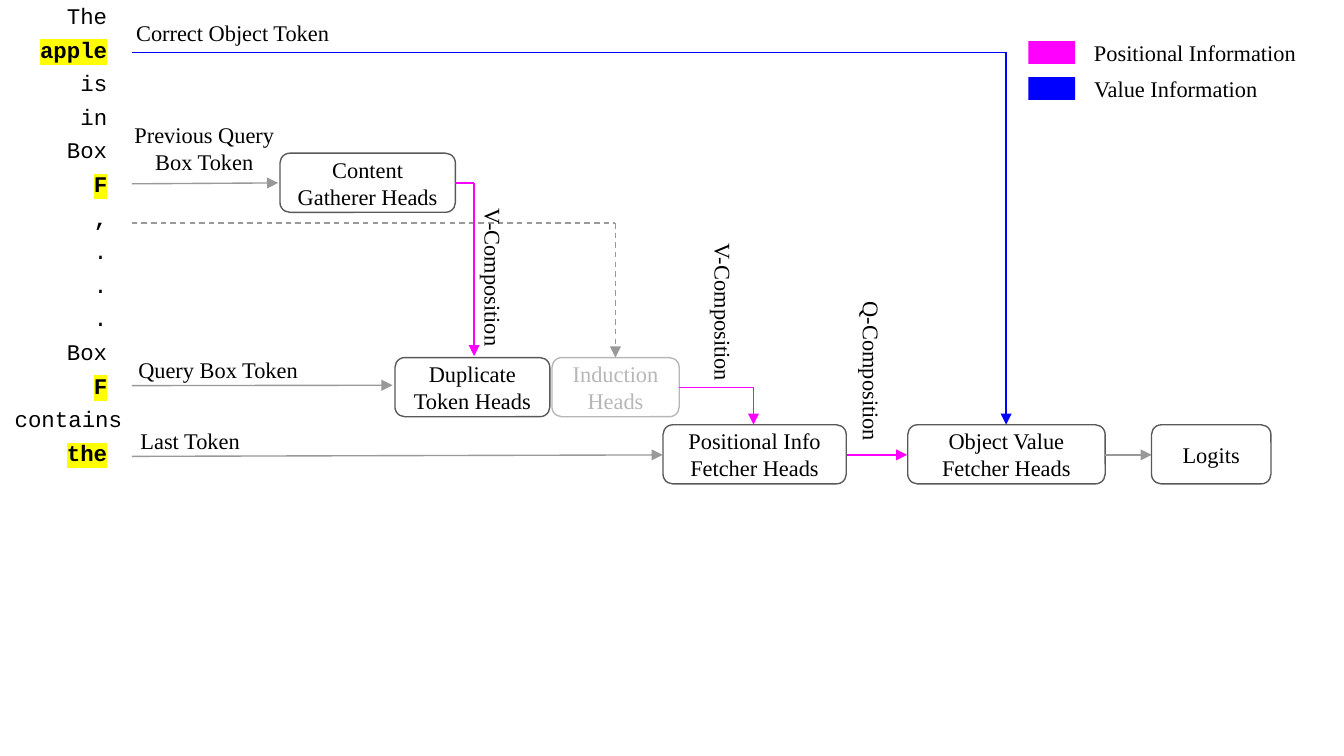
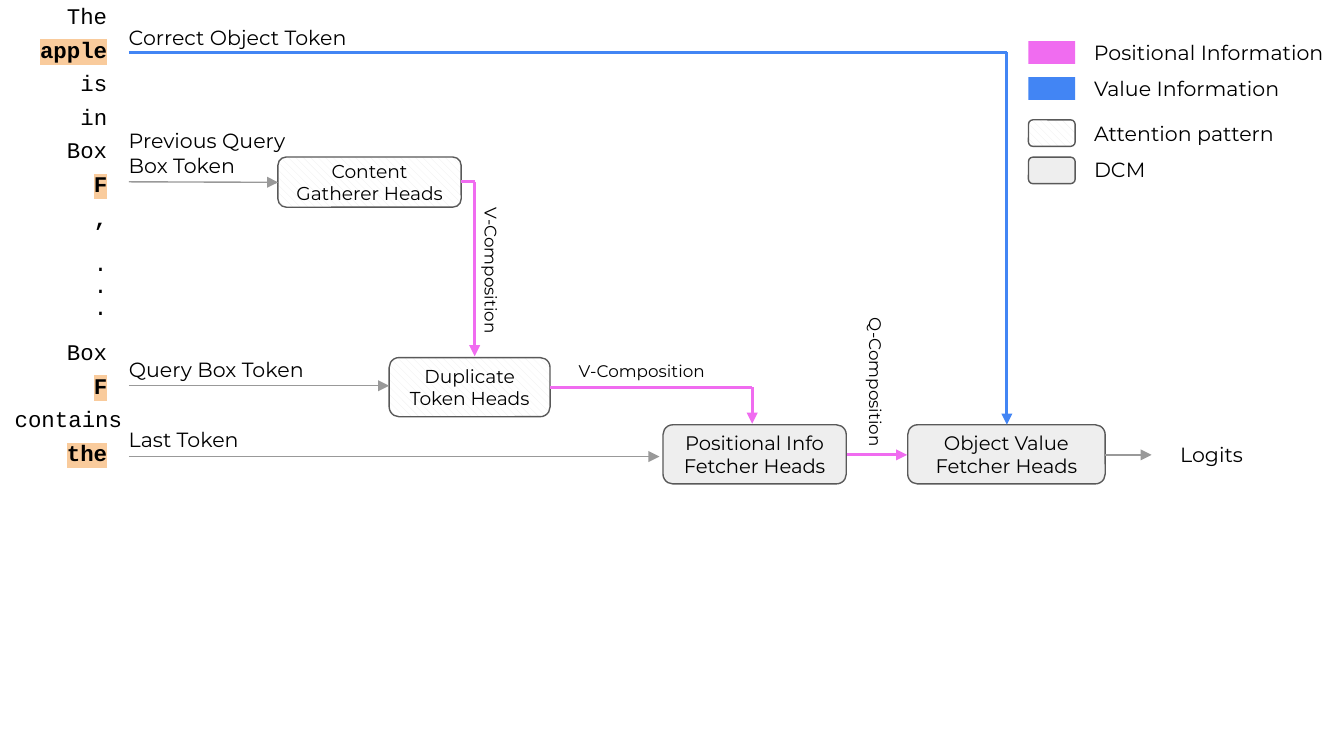
from dataclasses import dataclass
from itertools import pairwise

from lxml import etree
from pptx import Presentation
from pptx.dml.color import RGBColor
from pptx.enum.dml import MSO_LINE, MSO_PATTERN
from pptx.enum.shapes import MSO_CONNECTOR, MSO_SHAPE
from pptx.enum.text import MSO_ANCHOR, PP_ALIGN
from pptx.oxml.ns import qn
from pptx.util import Pt

LEFT, CENTER, RIGHT = PP_ALIGN.LEFT, PP_ALIGN.CENTER, PP_ALIGN.RIGHT
MIDDLE, TOP = MSO_ANCHOR.MIDDLE, MSO_ANCHOR.TOP
RECT, ROUNDED = MSO_SHAPE.RECTANGLE, MSO_SHAPE.ROUNDED_RECTANGLE
STRAIGHT, DASH = MSO_CONNECTOR.STRAIGHT, MSO_LINE.DASH
HATCH = MSO_PATTERN.WIDE_DOWNWARD_DIAGONAL

TOKENS = "The apple is in Box F , . . . Box F contains the".split()
KEY_TOKENS = {"apple", "F", "the"}
TOKEN_PITCH = 18
MIDDLE_DOT_ROW = 8
FLOW_Y = 243.7  # axis of the bottom row of boxes


@dataclass(frozen=True)
class Theme:
    font: str
    label_size: float
    fetcher_size: float
    head_size: float
    link_size: float
    positional: str
    value: str
    highlight: str
    flow_width: float
    dot_gap: float
    fetcher_fill: str | None = None
    hatch: tuple = ("EEEEEE", "FFFFFF")
    token_font: str = "Courier New"
    token_size: float = 12
    ink: str = "000000"
    outline: str = "595959"
    arrow: str = "999999"
    faded: str = "B7B7B7"
    thin: float = 0.75


SERIF = Theme("Times New Roman", 12, 12, 12, 12, "FF00FF", "0000FF", "FFFF00",
              flow_width=0.75, dot_gap=18)
SANS = Theme("Montserrat", 11, 10.5, 10, 9, "F06CF0", "4285F4", "F9CB9C",
             flow_width=1.5, dot_gap=11.9, fetcher_fill="EEEEEE")


def rgb(color):
    return RGBColor.from_string(color)


class Diagram:
    """A theme and the page it is drawn on."""

    def __init__(self, deck, theme):
        self.theme = theme
        self.page = deck.slides.add_slide(deck.slide_layouts[6])

    def set_text(self, shape, text, size, align, inset, anchor=TOP, font=None,
                 color=None, bold=False):
        frame = shape.text_frame
        frame.word_wrap = True
        frame.vertical_anchor = anchor
        frame.margin_left = frame.margin_right = Pt(inset[0])
        frame.margin_top = frame.margin_bottom = Pt(inset[1])
        frame.text = text
        for para in frame.paragraphs:
            para.alignment = align
            para.font.name = font or self.theme.font
            para.font.size = Pt(size)
            para.font.bold = bold
            para.font.color.rgb = rgb(color or self.theme.ink)

    def label(self, text, x, y, width, height=14.4, size=None, align=LEFT,
              inset=(0, 0), rotation=0):
        box = self.page.shapes.add_textbox(Pt(x), Pt(y), Pt(width), Pt(height))
        box.rotation = rotation
        self.set_text(box, text, size or self.theme.label_size, align, inset)

    def link_label(self, text, x, y, width, height, align=LEFT, rotation=90):
        self.label(text, x, y, width, height, self.theme.link_size, align,
                   rotation=rotation)

    def panel(self, kind, x, y, width, height, fill=None, line=None):
        """Preset shape; fill is a colour, a hatch pair or None."""
        shape = self.page.shapes.add_shape(kind, Pt(x), Pt(y), Pt(width), Pt(height))
        shape.shadow.inherit = False
        if isinstance(fill, tuple):
            shape.fill.patterned()
            shape.fill.pattern = HATCH
            shape.fill.fore_color.rgb, shape.fill.back_color.rgb = map(rgb, fill)
        elif fill:
            shape.fill.solid()
            shape.fill.fore_color.rgb = rgb(fill)
        else:
            shape.fill.background()
        if line:
            shape.line.color.rgb = rgb(line)
            shape.line.width = Pt(self.theme.thin)
        else:
            shape.line.fill.background()
        return shape

    def box(self, text, x, y, width, height=31.7, size=None, fill=None,
            line=None, color=None):
        shape = self.panel(ROUNDED, x, y, width, height, fill,
                           line or self.theme.outline)
        self.set_text(shape, text, size or self.theme.head_size, CENTER, (7.2, 7.2),
                      MIDDLE, color=color)

    def route(self, *points, color=None, dashed=False):
        """Straight legs through the points, with an arrowhead on the last."""
        width = self.theme.flow_width if color else self.theme.thin
        for (x1, y1), (x2, y2) in pairwise(points):
            leg = self.page.shapes.add_connector(STRAIGHT, Pt(x1), Pt(y1), Pt(x2), Pt(y2))
            leg.line.color.rgb = rgb(color or self.theme.arrow)
            leg.line.width = Pt(width)
            if dashed:
                leg.line.dash_style = DASH
            etree.SubElement(leg._element.spPr, qn("a:effectLst"))
        outline = leg._element.spPr.find(qn("a:ln"))
        etree.SubElement(outline, qn("a:tailEnd"), type="triangle")

    def tokens(self):
        theme = self.theme
        group = self.page.shapes.add_group_shape()
        for row, token in enumerate(TOKENS):
            y = 1.1 + row * TOKEN_PITCH
            if token == ".":
                y = 1.1 + MIDDLE_DOT_ROW * TOKEN_PITCH + (row - MIDDLE_DOT_ROW) * theme.dot_gap
            width = 78.5 if token == "contains" else 70.5
            box = group.shapes.add_textbox(Pt(-6), Pt(y), Pt(width), Pt(18))
            self.set_text(box, token, theme.token_size, RIGHT, (7.2, 0),
                          font=theme.token_font, bold=token in KEY_TOKENS or token == ",")
            if token in KEY_TOKENS:
                span = box.text_frame.paragraphs[0].runs[0]
                mark = etree.SubElement(span._r.get_or_add_rPr(), qn("a:highlight"))
                etree.SubElement(mark, qn("a:srgbClr"), val=theme.highlight)

    def legend(self, text, swatch_y, label_y, width, fill, kind=RECT, height=12.3,
               line=None):
        self.panel(kind, 551, swatch_y, 25, height, fill, line)
        self.label(text, 579, label_y, width, inset=(7.2, 0))

    def shared_parts(self):
        theme = self.theme
        self.tokens()
        self.legend("Positional Information", 22, 21.2, 141, theme.positional)
        self.legend("Value Information", 41.3, 40.5, 126, theme.value)
        for text, x, width in (("Positional Info Fetcher Heads", 355.2, 98.2),
                               ("Object Value Fetcher Heads", 486.3, 105.8)):
            self.box(text, x, 227.6, width, size=theme.fetcher_size,
                     fill=theme.fetcher_fill)
        self.route((453.5, FLOW_Y), (486, FLOW_Y), color=theme.positional)
        self.route((592, FLOW_Y), (617, FLOW_Y))


def build_serif_page(deck):
    theme = SERIF
    diagram = Diagram(deck, theme)
    diagram.shared_parts()
    start = 70.6

    diagram.box("Content Gatherer Heads", 150, 82.1, 94)
    diagram.box("Duplicate Token Heads", 211.6, 191.6, 83)
    diagram.box("Induction Heads", 295.7, 191.6, 68.2, line=theme.faded,
                color=theme.faded)
    diagram.box("Logits", 616.9, 227.6, 64)

    diagram.route((start, 28), (539, 28), (539, 227.5), color=theme.value)
    diagram.route((start, 98.5), (149, 98))
    diagram.route((start, 119.5), (329.7, 119.5), (329.7, 191.5), dashed=True)
    diagram.route((start, 206.6), (210.3, 206.4))
    diagram.route((start, 244.5), (355, FLOW_Y))
    diagram.route((244, 98), (254, 98), (254, 190.8), color=theme.positional)
    diagram.route((363.9, 207.5), (403.7, 207.5), (403.7, 227.5),
                  color=theme.positional)

    diagram.label("Correct Object Token", 72.9, 10.2, 109)
    diagram.label("Previous Query\nBox Token", 71, 65, 77, 29, align=CENTER)
    diagram.label("Query Box Token", 72.9, 190.8, 88, align=CENTER)
    diagram.label("Last Token", 72.9, 228.8, 58, align=CENTER)
    diagram.link_label("V-Composition", 225.2, 144, 78.5, 14.4)
    diagram.link_label("V-Composition", 348.3, 162.7, 78.5, 14.4)
    diagram.link_label("Q-Composition", 424.1, 197.3, 85.7, 14.4)


def build_sans_page(deck):
    theme = SANS
    diagram = Diagram(deck, theme)
    diagram.shared_parts()
    start = 69

    for text, y, label_y, fill in (("Attention pattern", 64.2, 65, theme.hatch),
                                   ("DCM", 84.2, 84.4, theme.fetcher_fill)):
        diagram.legend(text, y, label_y, 126, fill, ROUNDED, 14.2, theme.outline)

    diagram.box("Content Gatherer Heads", 148.9, 84.1, 98.2, 26.9, fill=theme.hatch)
    diagram.box("Duplicate Token Heads", 208.5, 191.6, 86.2, fill=theme.hatch)

    diagram.route((start, 28), (539.4, 28), (539.4, 227.5), color=theme.value)
    diagram.route((start, 97.4), (149, 97.7))
    diagram.route((start, 206.7), (208.5, 206.7))
    diagram.route((start, 244.6), (353.3, 244.6))
    diagram.route((247, 97.4), (254.3, 97.4), (254.3, 190.8), color=theme.positional)
    diagram.route((294.7, 207.5), (403, 207.5), (403, 227), color=theme.positional)

    diagram.label("Correct Object Token", start, 13.5, 155.5, 13.4)
    diagram.label("Previous Query\nBox Token", start, 68.5, 88, 26.8)
    diagram.label("Query Box Token", start, 191, 98, 13.4)
    diagram.label("Last Token", start, 228.6, 88, 13.4)
    diagram.label("Logits", 622.1, 233.3, 54, 20.6, align=CENTER, inset=(7.2, 3.6))
    diagram.link_label("V-Composition", 223.9, 139.5, 78.5, 11, CENTER)
    diagram.link_label("V-Composition", 304.5, 193.5, 78.5, 11, CENTER, rotation=0)
    diagram.link_label("Q-Composition", 426.2, 199.3, 85.7, 11, CENTER)


def main():
    deck = Presentation()
    deck.slide_width, deck.slide_height = Pt(720), Pt(405)
    build_serif_page(deck)
    build_sans_page(deck)
    deck.save("out.pptx")


if __name__ == "__main__":
    main()
